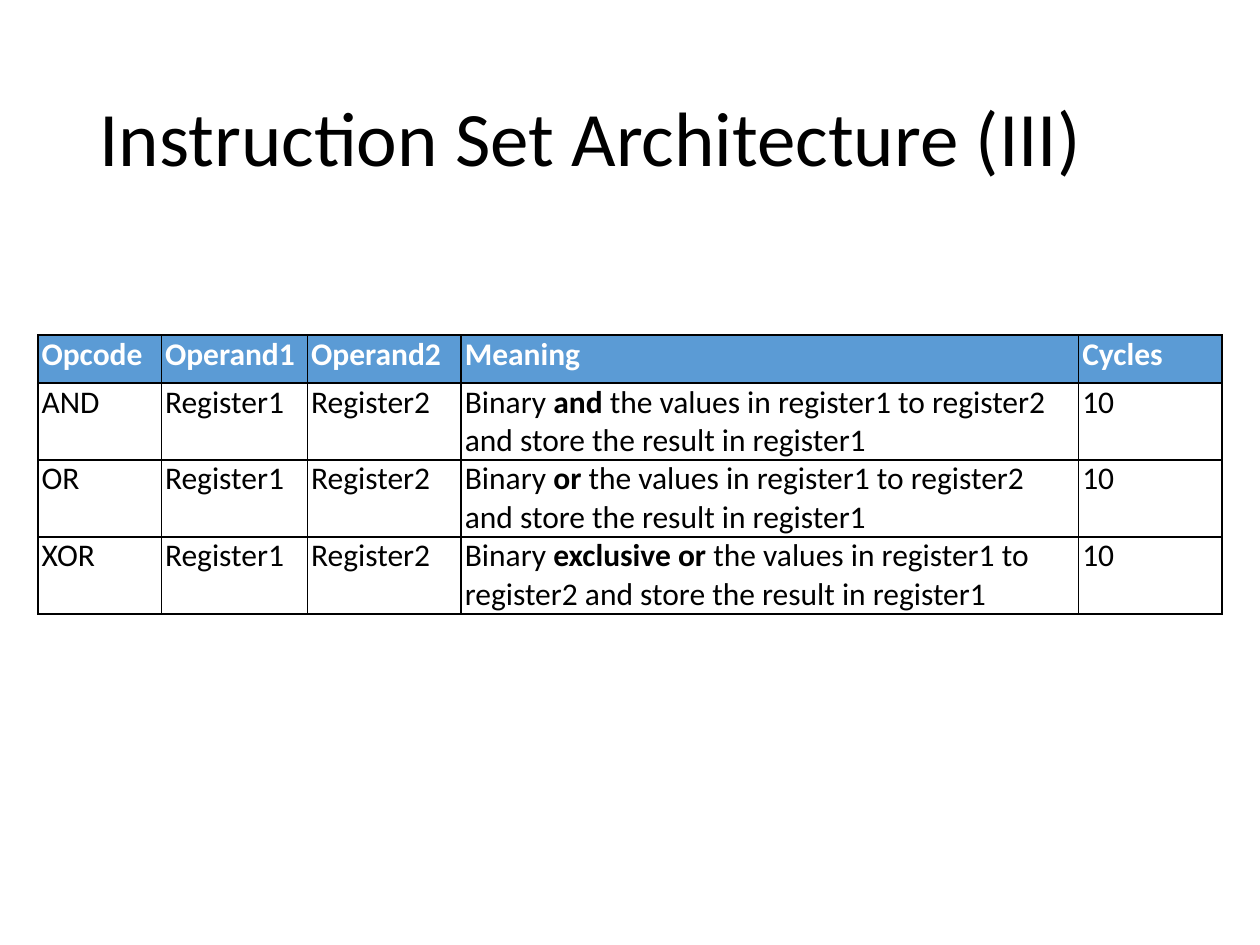
from pptx import Presentation, util as u
from pptx.dml.color import RGBColor
from pptx.enum import text
from pptx.oxml import parse_xml
from pptx.oxml.ns import nsdecls

TITLE = "Instruction Set Architecture (III)"
HEADS = ["Opcode", "Operand1", "Operand2", "Meaning", "Cycles"]
OPS = [("AND", "and"), ("OR", "or"), ("XOR", "exclusive or")]
REST = " the values in register1 to register2 and store the result in register1"
COLS = [0.98, 1.16, 1.22, 4.9, 1.14]
ROW = 0.38
PAD = {"margin_left": u.Inches(0.03), "margin_right": u.Inches(0.03),
       "margin_top": 0, "margin_bottom": 0}


def tint(code):
    return RGBColor.from_string(code)


def put(obj, vals):
    for key, val in vals.items():
        setattr(obj, key, val)


def write(par, words, size, color="000000", bold=False):
    run = par.add_run()
    run.text = words
    put(run.font, {"name": "Calibri", "size": u.Pt(size), "bold": bold})
    run.font.color.rgb = tint(color)


def edge(cell):
    props = cell._tc.get_or_add_tcPr()
    for spot, side in enumerate("LRTB"):
        props.insert(spot, parse_xml(
            f'<a:ln{side} {nsdecls("a")} w="12700"><a:solidFill>'
            f'<a:srgbClr val="000000"/></a:solidFill></a:ln{side}>'))


deck = Presentation()
put(deck, {"slide_width": u.Inches(10), "slide_height": u.Inches(7.5)})
slide = deck.slides.add_slide(deck.slide_layouts[5])

title = slide.shapes.title
put(title, {"left": u.Inches(0.69), "top": u.Inches(0.4),
            "width": u.Inches(8.62), "height": u.Inches(1.45)})
put(title.text_frame, {"word_wrap": True,
                       "vertical_anchor": text.MSO_ANCHOR.MIDDLE})
head = title.text_frame.paragraphs[0]
put(head, {"alignment": text.PP_ALIGN.LEFT, "line_spacing": 0.9})
write(head, TITLE, 44)

rows = [[[(name, True)] for name in HEADS]]
for code, verb in OPS:
    mean = [("Binary ", False), (verb, True), (REST, False)]
    plain = [[(word, False)] for word in (code, "Register1", "Register2")]
    rows.append(plain + [mean, [("10", False)]])

grid = slide.shapes.add_table(
    len(rows), len(COLS), u.Inches(0.3), u.Inches(2.66),
    u.Inches(sum(COLS)), u.Inches(ROW * len(rows))).table
for col, wide in zip(grid.columns, COLS):
    col.width = u.Inches(wide)
for r, row in enumerate(rows):
    grid.rows[r].height = u.Inches(ROW)
    for c, runs in enumerate(row):
        cell = grid.cell(r, c)
        put(cell, PAD)
        if r == 0:
            cell.fill.solid()
            cell.fill.fore_color.rgb = tint("5B9BD5")
        else:
            cell.fill.background()
        edge(cell)
        for words, bold in runs:
            write(cell.text_frame.paragraphs[0], words, 18,
                  "000000" if r else "FFFFFF", bold)

deck.save("out.pptx")
